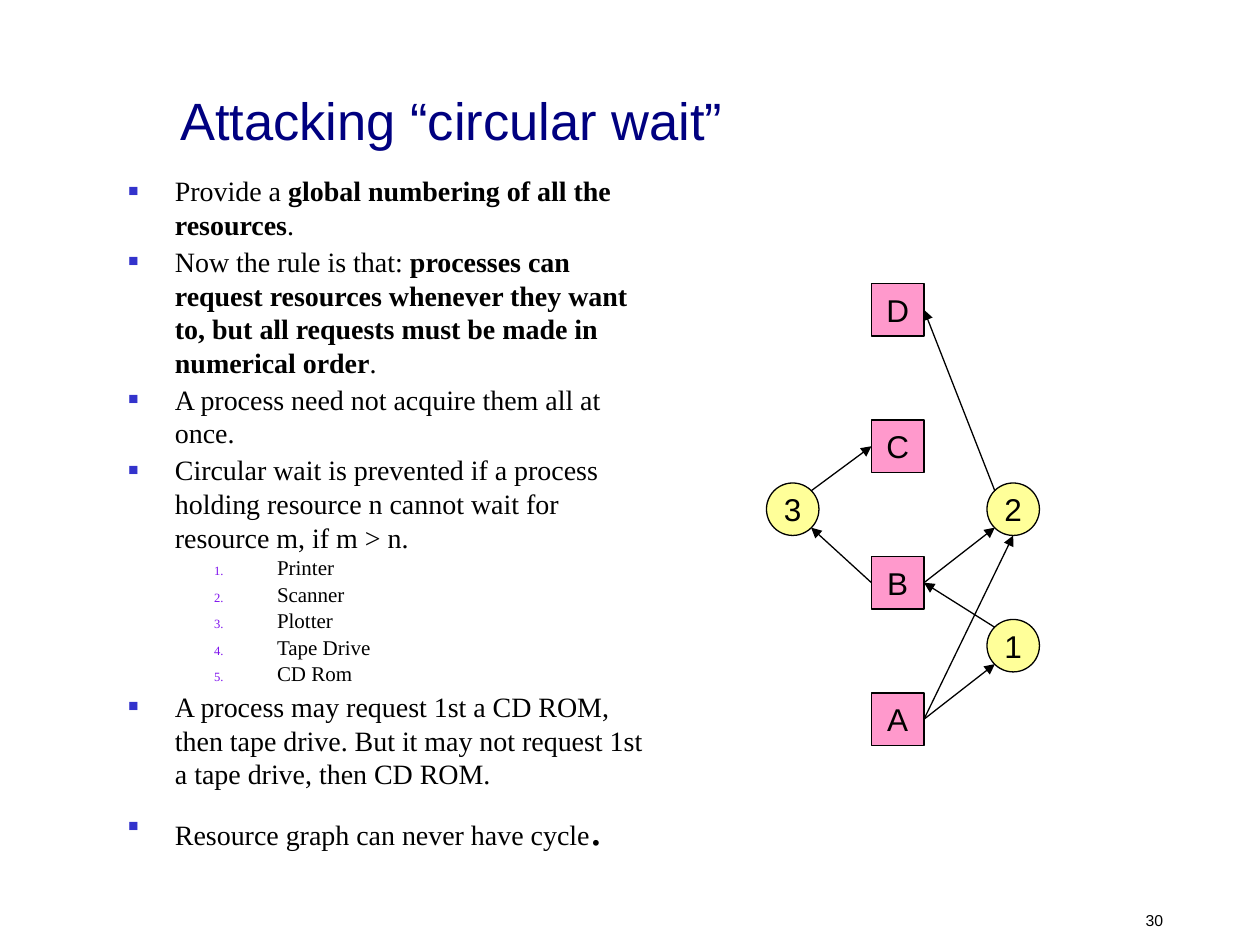
from lxml.etree import SubElement
from pptx import Presentation
from pptx.dml.color import RGBColor
from pptx.enum.shapes import MSO_CONNECTOR, MSO_SHAPE
from pptx.enum.text import MSO_ANCHOR, MSO_AUTO_SIZE, PP_ALIGN
from pptx.oxml.ns import qn
from pptx.util import Inches, Pt

COLORS = {
    "text": "000000",
    "title": "000080",
    "bullet": "3333CC",
    "number": "7F11EE",
    "resource": "FF99CC",
    "process": "FFFF99",
}
GRID = 1 / 12
NODE_SIZE = 5 * GRID
RESOURCES = {label: (83 * GRID, (66 - 13 * index) * GRID) for index, label in enumerate("ABCD")}
PROCESSES = {
    "1": (94 * GRID, 59 * GRID),
    "2": (94 * GRID, 46 * GRID),
    "3": (73 * GRID, 46 * GRID),
}
SITES = {
    "left": (0, 0.5),
    "right": (1, 0.5),
    "bottom": (0.5, 1),
    "top left": (0.15, 0.15),
    "top right": (0.85, 0.15),
    "bottom left": (0.15, 0.85),
    "bottom right": (0.85, 0.85),
}
ARROWS = [
    ("A", "right", "1", "bottom left"),
    ("1", "top left", "B", "right"),
    ("A", "right", "2", "bottom"),
    ("B", "right", "2", "bottom left"),
    ("2", "top left", "D", "right"),
    ("3", "top right", "C", "left"),
    ("B", "left", "3", "bottom right"),
]
RULES = [
    [("Provide a ", False), ("global numbering of all the resources", True), (".", False)],
    [
        ("Now the rule is that: ", False),
        ("processes can request resources whenever they want to, "
         "but all requests must be made in numerical order", True),
        (".", False),
    ],
    [("A process need not acquire them all at once.", False)],
    [("Circular wait is prevented if a process holding resource n "
      "cannot wait for resource m, if m > n.", False)],
]
DEVICES = ["Printer", "Scanner", "Plotter", "Tape Drive", "CD Rom"]
EXAMPLE = ("A process may request 1st a CD ROM, then tape drive. "
           "But it may not request 1st a tape drive, then CD ROM.")


def color(name):
    return RGBColor.from_string(COLORS[name])


def add_span(para, text, size, face="Arial", tint="text", bold=False):
    span = para.add_run()
    span.text = text
    span.font.name = face
    span.font.size = Pt(size)
    span.font.bold = bold
    span.font.color.rgb = color(tint)


def add_title(slide, text):
    title = slide.shapes.title
    title.left, title.top = Inches(1.33), Inches(0.58)
    title.width, title.height = Inches(8.5), Inches(0.67)
    frame = title.text_frame
    frame.auto_size = MSO_AUTO_SIZE.NONE
    frame.vertical_anchor = MSO_ANCHOR.BOTTOM
    para = frame.paragraphs[0]
    para.alignment = PP_ALIGN.LEFT
    add_span(para, text, 30, tint="title")


def add_page_number(slide, text):
    box = slide.shapes.add_textbox(Inches(8.91), Inches(7.16), Inches(0.42), Inches(0.27))
    frame = box.text_frame
    frame.word_wrap = True
    frame.vertical_anchor = MSO_ANCHOR.BOTTOM
    para = frame.paragraphs[0]
    para.alignment = PP_ALIGN.RIGHT
    add_span(para, text, 9)


def add_list_item(frame, spans, size=16, before=2, numbered=False):
    first = frame.paragraphs[0]
    para = frame.add_paragraph() if first.runs else first
    para.space_before = Pt(before)
    para.level = 2 if numbered else 0
    margin, indent = (1.18, -0.5) if numbered else (0.37, -0.37)
    properties = para._p.get_or_add_pPr()
    properties.set("marL", str(Inches(margin)))
    properties.set("indent", str(Inches(indent)))
    tint = SubElement(properties, qn("a:buClr"))
    SubElement(tint, qn("a:srgbClr"), val=COLORS["number" if numbered else "bullet"])
    SubElement(properties, qn("a:buSzPct"), val="60000")
    SubElement(properties, qn("a:buFont"), typeface="Times New Roman")
    if numbered:
        SubElement(properties, qn("a:buAutoNum"), type="arabicPeriod")
    else:
        SubElement(properties, qn("a:buChar"), char="■")
    for text, bold in spans:
        add_span(para, text, size, "Times New Roman", bold=bold)
    return para


def add_rules(slide):
    box = slide.shapes.add_textbox(Inches(0.92), Inches(1.33), Inches(4.35), Inches(5.92))
    frame = box.text_frame
    frame.word_wrap = True
    for spans in RULES:
        add_list_item(frame, spans)
    for device in DEVICES:
        add_list_item(frame, [(device, False)], size=12, before=0.7, numbered=True)
    add_list_item(frame, [(EXAMPLE, False)])
    conclusion = add_list_item(frame, [("Resource graph can never have cycle", False)], before=3.5)
    add_span(conclusion, ".", 28, "Times New Roman")


def add_node(slide, label, position, preset, fill):
    left, top = position
    node = slide.shapes.add_shape(
        preset, Inches(left), Inches(top), Inches(NODE_SIZE), Inches(NODE_SIZE))
    node.shadow.inherit = False
    node.fill.solid()
    node.fill.fore_color.rgb = color(fill)
    node.line.color.rgb = color("text")
    node.line.width = Pt(0.75)
    frame = node.text_frame
    frame.word_wrap = False
    frame.vertical_anchor = MSO_ANCHOR.MIDDLE
    para = frame.paragraphs[0]
    para.alignment = PP_ALIGN.CENTER
    add_span(para, label, 18)


def site_point(position, site):
    return [Inches(start + NODE_SIZE * part) for start, part in zip(position, SITES[site])]


def add_arrow(slide, start, end):
    arrow = slide.shapes.add_connector(MSO_CONNECTOR.STRAIGHT, *start, *end)
    arrow.line.color.rgb = color("text")
    arrow.line.width = Pt(0.75)
    SubElement(arrow.line._get_or_add_ln(), qn("a:tailEnd"), type="triangle")
    SubElement(arrow._element.spPr, qn("a:effectLst"))


def add_resource_graph(slide):
    for label, position in RESOURCES.items():
        add_node(slide, label, position, MSO_SHAPE.RECTANGLE, "resource")
    for label, position in PROCESSES.items():
        add_node(slide, label, position, MSO_SHAPE.OVAL, "process")
    nodes = {**RESOURCES, **PROCESSES}
    for source, source_site, target, target_site in ARROWS:
        add_arrow(slide, site_point(nodes[source], source_site),
                  site_point(nodes[target], target_site))


def main():
    deck = Presentation()
    deck.slide_width, deck.slide_height = Inches(10), Inches(7.5)
    slide = deck.slides.add_slide(deck.slide_layouts[5])
    add_page_number(slide, "30")
    add_title(slide, "Attacking “circular wait”")
    add_rules(slide)
    add_resource_graph(slide)
    deck.save("out.pptx")


if __name__ == "__main__":
    main()
